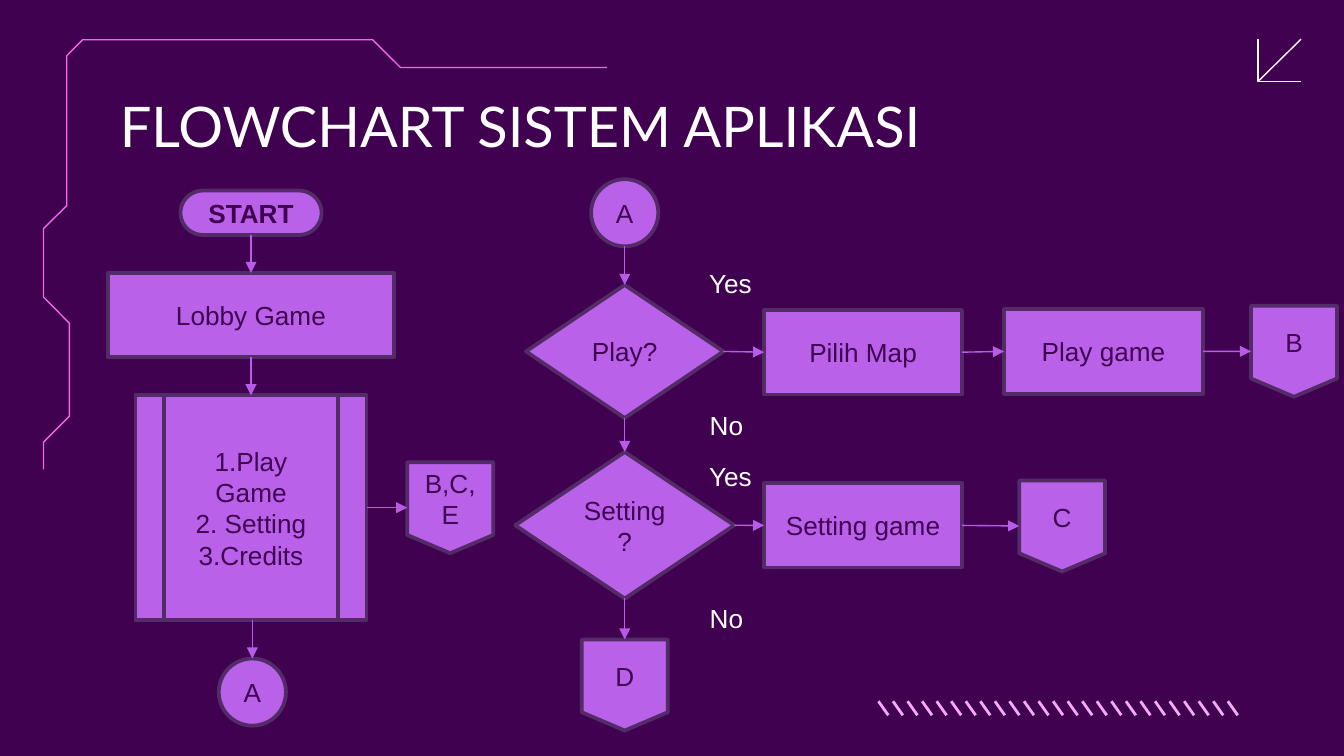
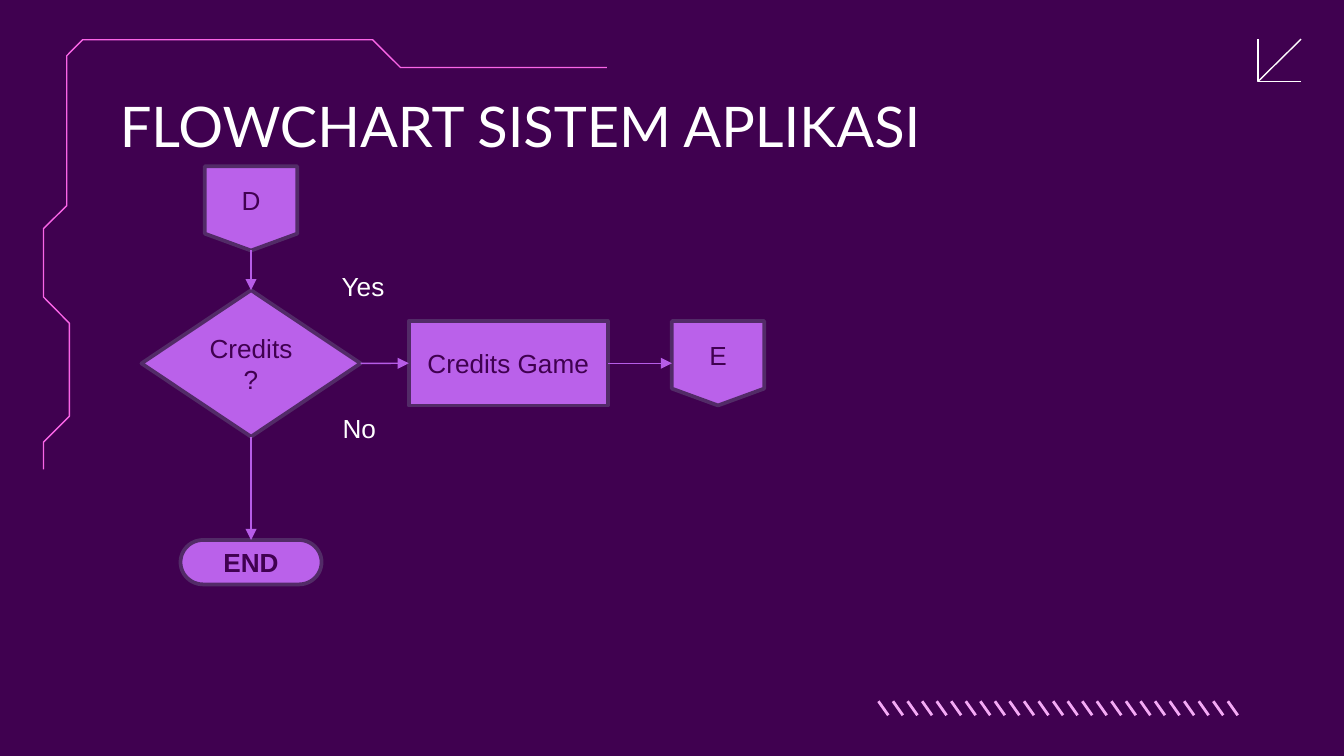
"""Build two flowchart slides with a shared frame, title and arrow style."""
from lxml import etree
from pptx import Presentation
from pptx.dml.color import RGBColor
from pptx.enum.shapes import MSO_CONNECTOR, MSO_SHAPE
from pptx.enum.text import MSO_ANCHOR, MSO_AUTO_SIZE, PP_ALIGN
from pptx.oxml.ns import qn
from pptx.util import Pt

STRAIGHT = MSO_CONNECTOR.STRAIGHT
BOX = MSO_SHAPE.RECTANGLE
PILL = MSO_SHAPE.FLOWCHART_TERMINATOR
LIST = MSO_SHAPE.FLOWCHART_PREDEFINED_PROCESS
DOT = MSO_SHAPE.FLOWCHART_CONNECTOR
ASK = MSO_SHAPE.FLOWCHART_DECISION
PAGE = MSO_SHAPE.FLOWCHART_OFFPAGE_CONNECTOR
TOP, MIDDLE = MSO_ANCHOR.TOP, MSO_ANCHOR.MIDDLE
LEFT, CENTER = PP_ALIGN.LEFT, PP_ALIGN.CENTER
FIXED, GROW = MSO_AUTO_SIZE.NONE, MSO_AUTO_SIZE.SHAPE_TO_FIT_TEXT

DARK, WHITE = "400150", "FFFFFF"
LILAC, EDGE, ARROW = "BA61EA", "522B67", "B75CE8"
PINK, PALE = "FA65E7", "F4AAF5"
TITLE = "FLOWCHART SISTEM APLIKASI"

FRAME = [(325.2, 36.2), (214.6, 36.2), (199.7, 21.3), (44.3, 21.3),
         (35.8, 29.9), (35.8, 110.2), (23.3, 122.5), (23.3, 159.1),
         (37.2, 173.2), (37.2, 223), (23.3, 236.9), (23.3, 251.5)]
CORNER = [(697, 43.6), (674, 43.6), (674, 21)]

CHARTS = [
    {
        "nodes": [
            (PILL, "START", 134.5, 114, 75.6, 23.8),
            (BOX, "Lobby Game", 134.5, 168.8, 153.4, 45.2),
            (LIST, "1.Play Game\n2. Setting\n3.Credits", 134.5, 272, 123.8, 120.4),
            (DOT, "A", 135.2, 370.8, 36, 36),
            (PAGE, "B,C,E", 241.2, 272, 46, 48.8),
            (DOT, "A", 334.7, 114, 36, 36),
            (ASK, "Play?", 334.7, 188.3, 105.8, 71.3),
            (ASK, "Setting?", 334.7, 281.4, 117.4, 78.5),
            (PAGE, "D", 334.7, 367, 46, 48.8),
            (BOX, "Pilih Map", 462.4, 188.7, 106, 45.2),
            (BOX, "Play game", 591.2, 188.3, 106.6, 45.2),
            (PAGE, "B", 693.2, 188.2, 46, 48.8),
            (BOX, "Setting game", 462.4, 281.5, 106, 45.2),
            (PAGE, "C", 569, 281.8, 46, 48.8),
        ],
        "links": [(0, 1), (1, 2), (2, 3), (2, 4), (5, 6), (6, 7), (7, 8),
                  (6, 9), (9, 10), (10, 11), (7, 12), (12, 13)],
        "notes": [("Yes", 372.8, 139.8), ("No", 373.1, 216),
                  ("Yes", 372.8, 243.2), ("No", 373.1, 319.2)],
    },
    {
        "nodes": [
            (PAGE, "D", 134.5, 111.6, 49.5, 45.2),
            (ASK, "Credits?", 134.5, 194.7, 117.4, 78.5),
            (PILL, "END", 134.5, 301.2, 75.6, 23.8),
            (BOX, "Credits Game", 272.3, 194.6, 106.6, 45.2),
            (PAGE, "E", 384.7, 194.6, 49.5, 45.2),
        ],
        "links": [(0, 1), (1, 2), (1, 3), (3, 4)],
        "notes": [("Yes", 176, 141.1), ("No", 176.4, 217.4)],
    },
]


def paint(part, tone):
    """Give a fill or line fill, or a font, a plain colour from a hex string."""
    if hasattr(part, "solid"):
        part.solid()
        part.fore_color.rgb = RGBColor.from_string(tone)
    else:
        part.color.rgb = RGBColor.from_string(tone)


def stroke(slide, x1, y1, x2, y2, tone, width):
    """Draw a straight line without a shadow and return its properties."""
    line = slide.shapes.add_connector(STRAIGHT, Pt(x1), Pt(y1), Pt(x2), Pt(y2))
    paint(line.line.fill, tone)
    line.line.width = Pt(width)
    props = line.element.spPr
    etree.SubElement(props, qn("a:effectLst"))
    return props


deck = Presentation()
deck.slide_width, deck.slide_height = Pt(720), Pt(405)
paint(deck.slide_master.background.fill, DARK)

for chart in CHARTS:
    slide = deck.slides.add_slide(deck.slide_layouts[5])
    shapes = slide.shapes

    for i in range(25):
        x = 470.6 + 7.8 * i
        stroke(slide, x, 375.7, x + 5.3, 383.2, PALE, 1.5)
    stroke(slide, 697, 21, 674, 43.6, WHITE, 0.75)
    for points, tone in ((CORNER, WHITE), (FRAME, PINK)):
        spots = [(Pt(x), Pt(y)) for x, y in points]
        pen = shapes.build_freeform(*spots[0])
        pen.add_line_segments(spots[1:], close=False)
        trace = pen.convert_to_shape()
        trace.shadow.inherit = False
        trace.fill.background()
        paint(trace.line.fill, tone)
        trace.line.width = Pt(0.75)

    title = shapes.title
    title.left, title.top = Pt(57), Pt(42)
    title.width, title.height = Pt(607), Pt(45.2)
    frame = title.text_frame
    frame.text = TITLE
    frame.auto_size, frame.vertical_anchor = FIXED, TOP
    frame.margin_left = frame.margin_right = Pt(7.2)
    frame.margin_top = frame.margin_bottom = Pt(7.2)
    para = frame.paragraphs[0]
    para.alignment = LEFT
    font = para.runs[0].font
    font.name, font.size = "Lato", Pt(30)
    paint(font, WHITE)

    for kind, text, x, y, w, h in chart["nodes"]:
        node = shapes.add_shape(kind, Pt(x - w / 2), Pt(y - h / 2), Pt(w), Pt(h))
        node.shadow.inherit = False
        paint(node.fill, LILAC)
        paint(node.line.fill, EDGE)
        node.line.width = Pt(2)
        frame = node.text_frame
        frame.text = text
        frame.word_wrap, frame.vertical_anchor = True, MIDDLE
        for para in frame.paragraphs:
            para.alignment = CENTER
            font = para.runs[0].font
            font.name, font.size, font.bold = "Arial", Pt(14), kind == PILL
            paint(font, DARK)

    for start, end in chart["links"]:
        x1, y1, w1, h1 = chart["nodes"][start][2:]
        x2, y2, w2, h2 = chart["nodes"][end][2:]
        if abs(x2 - x1) < abs(y2 - y1):
            ends = (x2, y1 + h1 / 2, x2, y2 - h2 / 2)
        else:
            ends = (x1 + w1 / 2, y1, x2 - w2 / 2, y2)
        props = stroke(slide, *ends, ARROW, 0.75)
        etree.SubElement(props.find(qn("a:ln")), qn("a:tailEnd"), type="triangle")

    for text, x, y in chart["notes"]:
        width = 39 if text == "Yes" else 32.4
        note = shapes.add_textbox(Pt(x), Pt(y), Pt(width), Pt(24.3))
        frame = note.text_frame
        frame.text = text
        frame.word_wrap, frame.auto_size = False, GROW
        font = frame.paragraphs[0].runs[0].font
        font.name, font.size = "Arial", Pt(14)
        paint(font, WHITE)

deck.save("out.pptx")
